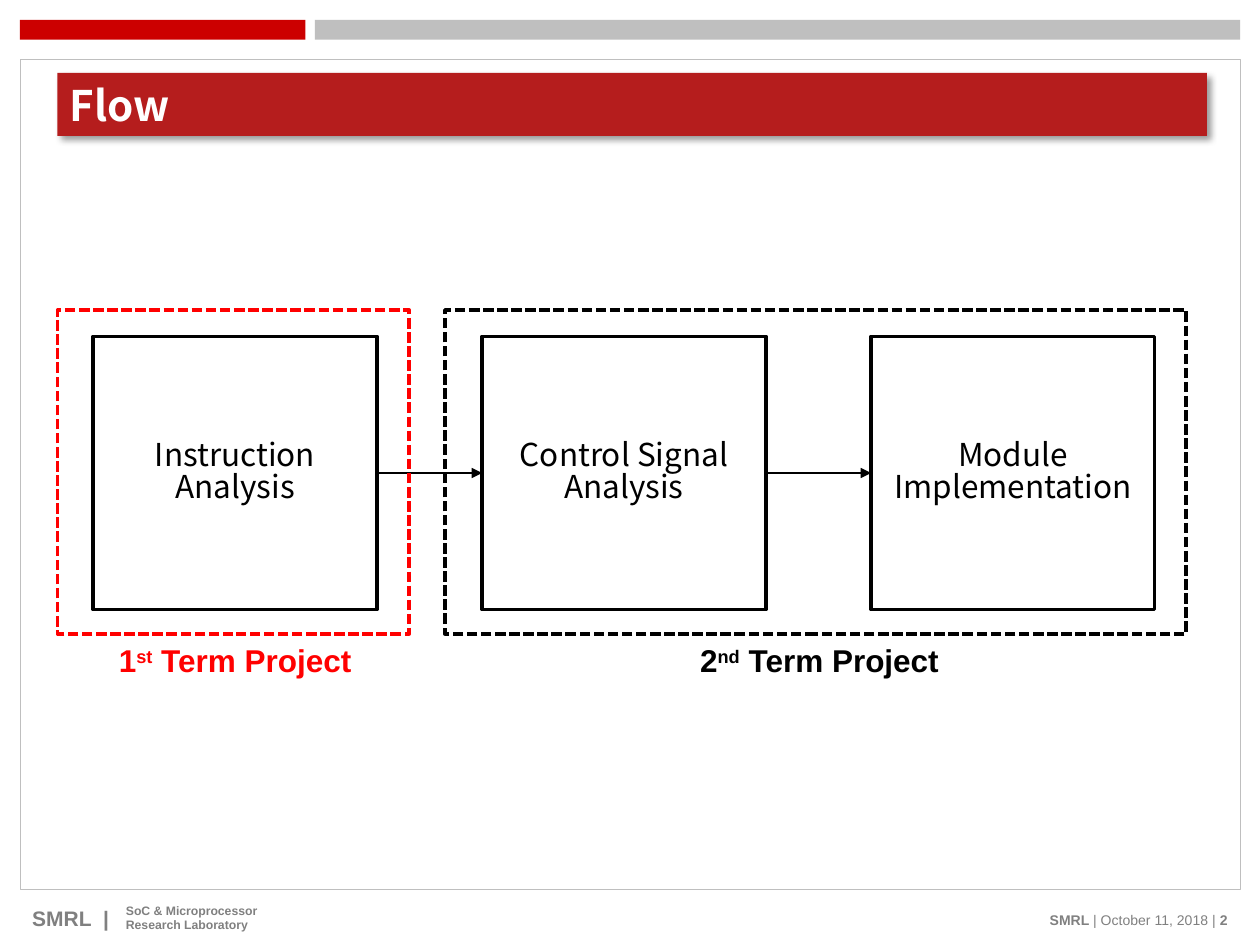
import pptx
import pptx.dml.color
import pptx.enum.dml
import pptx.enum.shapes
import pptx.enum.text
import pptx.oxml
import pptx.oxml.ns
import pptx.util
from dataclasses import dataclass
from lxml import etree

Cm, Pt = pptx.util.Cm, pptx.util.Pt
ALIGN = pptx.enum.text.PP_ALIGN
ANCHOR = pptx.enum.text.MSO_ANCHOR
qn = pptx.oxml.ns.qn


@dataclass(frozen=True)
class Theme:
    black: str = "000000"
    white: str = "FFFFFF"
    red: str = "FF0000"
    bar_red: str = "CC0000"
    title_red: str = "B51D1D"
    rule_grey: str = "BFBFBF"
    text_grey: str = "808080"
    body_font: str = "Noto Sans CJK KR"
    label_font: str = "Arial"
    title_size: int = 24
    body_size: int = 18
    brand_size: int = 12
    date_size: int = 8
    lab_size: int = 7


def rgb(value):
    return pptx.dml.color.RGBColor.from_string(value)


def add_run(p, text, *, font, size, color, bold=False, baseline=None):
    r = p.add_run()
    r.text = text
    r.font.name, r.font.size, r.font.bold = font, Pt(size), bold
    r.font.color.rgb = rgb(color)
    if baseline:
        r.font._element.set("baseline", str(baseline * 1000))


class SlideBuilder:
    def __init__(self, slide, theme):
        self.s = slide
        self.theme = theme

    def rect(self, x, y, w, h, fill=None, line=None, width=2, dashed=False):
        sp = self.s.shapes.add_shape(
            pptx.enum.shapes.MSO_SHAPE.RECTANGLE, Cm(x), Cm(y), Cm(w), Cm(h))
        sp.shadow.inherit = False
        if fill:
            sp.fill.solid()
            sp.fill.fore_color.rgb = rgb(fill)
        else:
            sp.fill.background()
        if line:
            sp.line.color.rgb = rgb(line)
            sp.line.width = Pt(width)
            if dashed:
                sp.line.dash_style = pptx.enum.dml.MSO_LINE.SQUARE_DOT
        else:
            sp.line.fill.background()
        return sp

    def title(self, x, y, w, h, text):
        t = self.theme
        sp = self.rect(x, y, w, h, fill=t.title_red)
        effects = sp._element.spPr.find(qn("a:effectLst"))
        shadow = etree.SubElement(
            effects, qn("a:outerShdw"), blurRad=str(Pt(4)), dist=str(Pt(3)),
            dir=str(45 * 60000), algn="tl", rotWithShape="0")
        color = etree.SubElement(shadow, qn("a:srgbClr"), val=t.black)
        etree.SubElement(color, qn("a:alpha"), val="40000")
        tf = sp.text_frame
        tf.margin_top = tf.margin_bottom = 0
        tf.vertical_anchor = ANCHOR.MIDDLE
        p = tf.paragraphs[0]
        p.alignment = ALIGN.LEFT
        add_run(p, text, font=t.body_font, size=t.title_size,
                color=t.white, bold=True)

    def step(self, x, y, w, h, text):
        t = self.theme
        sp = self.rect(x, y, w, h, line=t.black)
        tf = sp.text_frame
        tf.word_wrap = True
        tf.vertical_anchor = ANCHOR.MIDDLE
        p = tf.paragraphs[0]
        p.alignment = ALIGN.CENTER
        p.line_spacing = 0.83
        add_run(p, text, font=t.body_font, size=t.body_size, color=t.black)
        return sp

    def arrow(self, source, target):
        """Join the right side of source to the left side of target."""
        c = self.s.shapes.add_connector(
            pptx.enum.shapes.MSO_CONNECTOR.STRAIGHT, 0, 0, 0, 0)
        c.begin_connect(source, 3)
        c.end_connect(target, 1)
        c.line.color.rgb = rgb(self.theme.black)
        c.line.width = Pt(0.75)
        etree.SubElement(c.line._get_or_add_ln(), qn("a:tailEnd"),
                         type="triangle")
        etree.SubElement(c._element.spPr, qn("a:effectLst"))

    def text(self, x, y, w, h, lines, size, color, align=ALIGN.LEFT):
        """Each line is a list of (text, run options) pairs."""
        box = self.s.shapes.add_textbox(Cm(x), Cm(y), Cm(w), Cm(h))
        tf = box.text_frame
        tf.word_wrap = True
        for i, line in enumerate(lines):
            p = tf.add_paragraph() if i else tf.paragraphs[0]
            p.alignment = align
            for text, options in line:
                add_run(p, text, font=self.theme.label_font, size=size,
                        color=color, **options)


def build_frame(b):
    t = b.theme
    bold = {"bold": True}
    b.rect(6.35, 0.4, 18.65, 0.4, fill=t.rule_grey)
    b.rect(0.4, 0.4, 5.76, 0.4, fill=t.bar_red)
    b.rect(0.4, 1.2, 24.6, 16.73, fill=t.white, line=t.rule_grey, width=0.25)
    b.text(16.7, 18.26, 8.3, 0.64,
           [[("SMRL ", bold), ("| October 11, 2018 | ", {}), ("2", bold)]],
           t.date_size, t.text_grey, ALIGN.RIGHT)
    b.text(0.4, 18.14, 2.1, 0.8, [[("SMRL\u00a0 |", bold)]],
           t.brand_size, t.text_grey)
    b.text(2.29, 18.08, 4.4, 0.8,
           [[("SoC & Microprocessor", bold)], [("Research Laboratory", bold)]],
           t.lab_size, t.text_grey)


def build_flow(b):
    t = b.theme
    first_x, pitch = 1.88, 7.84
    names = ["Instruction Analysis", "Control Signal Analysis",
             "Module Implementation"]
    steps = [b.step(first_x + i * pitch, 6.78, 5.72, 5.51, name)
             for i, name in enumerate(names)]
    for source, target in zip(steps, steps[1:]):
        b.arrow(source, target)

    # group left, group width, label centre, number, suffix, colour
    terms = [(1.16, 7.09, 4.74, "1", "st", t.red),
             (8.97, 14.94, 16.52, "2", "nd", t.black)]
    label_w = 5.7
    for x, w, centre, number, suffix, color in terms:
        b.rect(x, 6.25, w, 6.53, line=color, dashed=True)
        b.text(centre - label_w / 2, 12.8, label_w, 1.02,
               [[(number, {"bold": True}),
                 (suffix, {"bold": True, "baseline": 30}),
                 (" Term Project", {"bold": True})]],
               t.body_size, color, ALIGN.CENTER)


def main():
    prs = pptx.Presentation()
    prs.slide_width, prs.slide_height = Cm(25.4), Cm(19.05)
    b = SlideBuilder(prs.slides.add_slide(prs.slide_layouts[6]), Theme())
    build_frame(b)
    b.title(1.16, 1.47, 23.17, 1.27, "Flow")
    build_flow(b)
    prs.save("out.pptx")


if __name__ == "__main__":
    main()
